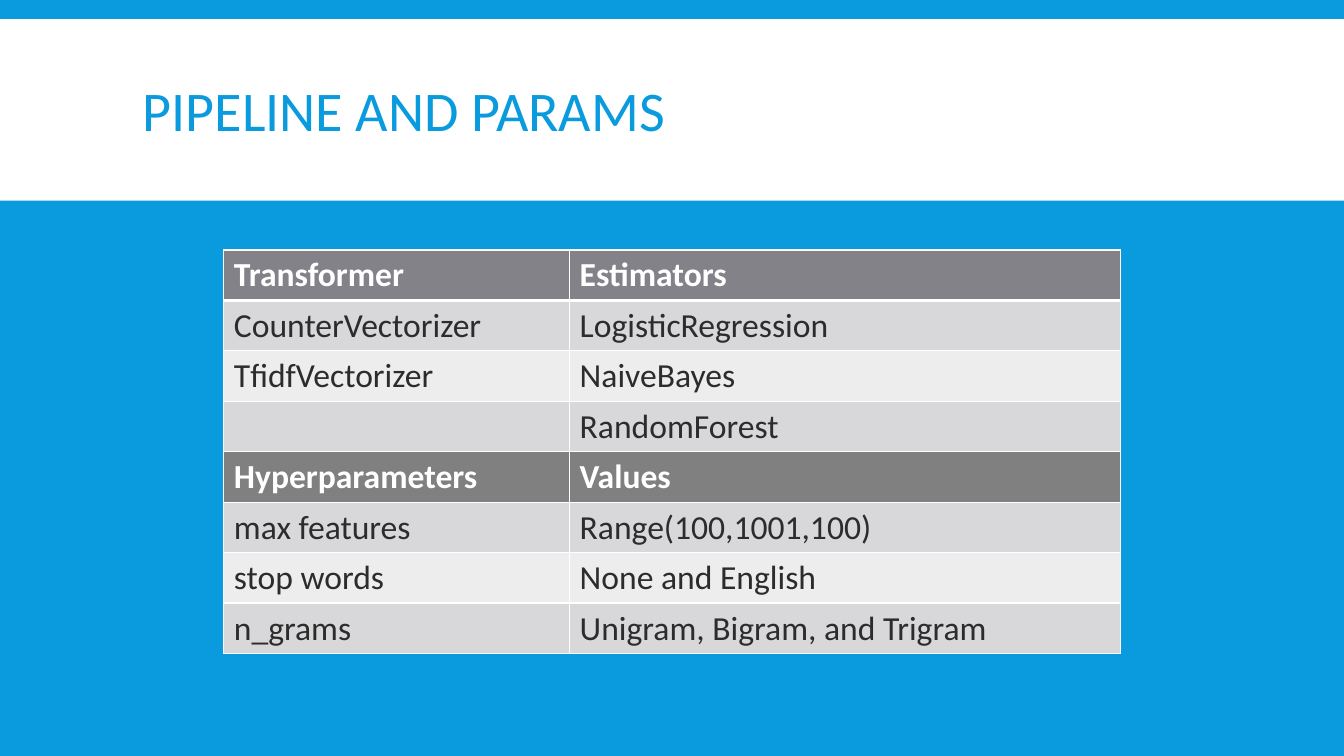
from lxml import etree
from pptx import Presentation
from pptx.dml.color import RGBColor
from pptx.enum.shapes import MSO_SHAPE as SHAPE
from pptx.enum.text import MSO_ANCHOR as ANCHOR
from pptx.oxml.ns import qn
from pptx.util import Inches, Pt

# Content
TITLE = "PIPELINE AND PARAMS"
GROUPS = [
    [("Transformer", "Estimators"),
     ("CounterVectorizer", "LogisticRegression"),
     ("TfidfVectorizer", "NaiveBayes"),
     ("", "RandomForest")],
    [("Hyperparameters", "Values"),
     ("max features", "Range(100,1001,100)"),
     ("stop words", "None and English"),
     ("n_grams", "Unigram, Bigram, and Trigram")],
]

# Colours and formats
BLUE = RGBColor(0x09, 0x9B, 0xDD)
WHITE = RGBColor(0xFF, 0xFF, 0xFF)
DARK = RGBColor(0x2C, 0x2C, 0x2C)
HEAD_FILLS = [RGBColor(0x82, 0x82, 0x88), RGBColor(0x80, 0x80, 0x80)]
BAND_FILLS = [RGBColor(0xD8, 0xD8, 0xDA), RGBColor(0xED, 0xED, 0xED)]
TITLE_FONT = {"name": "Calibri", "size": Pt(40), "bold": False}
HEAD_FONT = {"name": "Calibri", "size": Pt(24), "bold": True}
BODY_FONT = {"name": "Calibri", "size": Pt(24), "bold": False}

# Table layout in inches
LEFT, TOP, ROW_H = 2.22, 2.48, 0.5
COL_WIDTHS = [3.43, 5.46]


def write(p, text, fmt, color):
    r = p.add_run()
    r.text = text
    for key, value in fmt.items():
        setattr(r.font, key, value)
    r.font.color.rgb = color


def set_borders(cell, widths):
    tcPr = cell._tc.get_or_add_tcPr()
    for i, (side, width) in enumerate(widths.items()):
        ln = etree.Element(qn("a:ln" + side), w=str(Pt(width)))
        fill = etree.SubElement(ln, qn("a:solidFill"))
        etree.SubElement(fill, qn("a:srgbClr"), val=str(WHITE))
        tcPr.insert(i, ln)


prs = Presentation()
prs.slide_width, prs.slide_height = Inches(13.33), Inches(7.5)
s = prs.slides.add_slide(prs.slide_layouts[6])
s.background.fill.solid()
s.background.fill.fore_color.rgb = BLUE

# Title band
band = s.shapes.add_shape(SHAPE.RECTANGLE, 0, Inches(0.19), prs.slide_width, Inches(1.8))
band.shadow.inherit = False
band.fill.solid()
band.fill.fore_color.rgb = WHITE
band.line.fill.background()

# Title
title = s.shapes.add_textbox(Inches(1.32), Inches(0.31), Inches(10.7), Inches(1.65))
tf = title.text_frame
tf.word_wrap = True
tf.vertical_anchor = ANCHOR.MIDDLE
p = tf.paragraphs[0]
p.line_spacing = 0.85
write(p, TITLE, TITLE_FONT, BLUE)

# Table: each group is a header row followed by banded rows
rows = [(g, i, texts) for g, group in enumerate(GROUPS) for i, texts in enumerate(group)]
table = s.shapes.add_table(
    len(rows), len(COL_WIDTHS), Inches(LEFT), Inches(TOP),
    Inches(sum(COL_WIDTHS)), Inches(ROW_H * len(rows))).table
for col, width in zip(table.columns, COL_WIDTHS):
    col.width = Inches(width)
for n, (g, i, texts) in enumerate(rows):
    table.rows[n].height = Inches(ROW_H)
    is_head = i == 0
    for c, text in enumerate(texts):
        cell = table.cell(n, c)
        cell.fill.solid()
        cell.fill.fore_color.rgb = HEAD_FILLS[g] if is_head else BAND_FILLS[(i - 1) % 2]
        set_borders(cell, {"L": 1, "R": 1, "T": 3 if n == 1 else 1, "B": 3 if n == 0 else 1})
        if text:
            write(cell.text_frame.paragraphs[0], text,
                  HEAD_FONT if is_head else BODY_FONT, WHITE if is_head else DARK)

prs.save("out.pptx")
